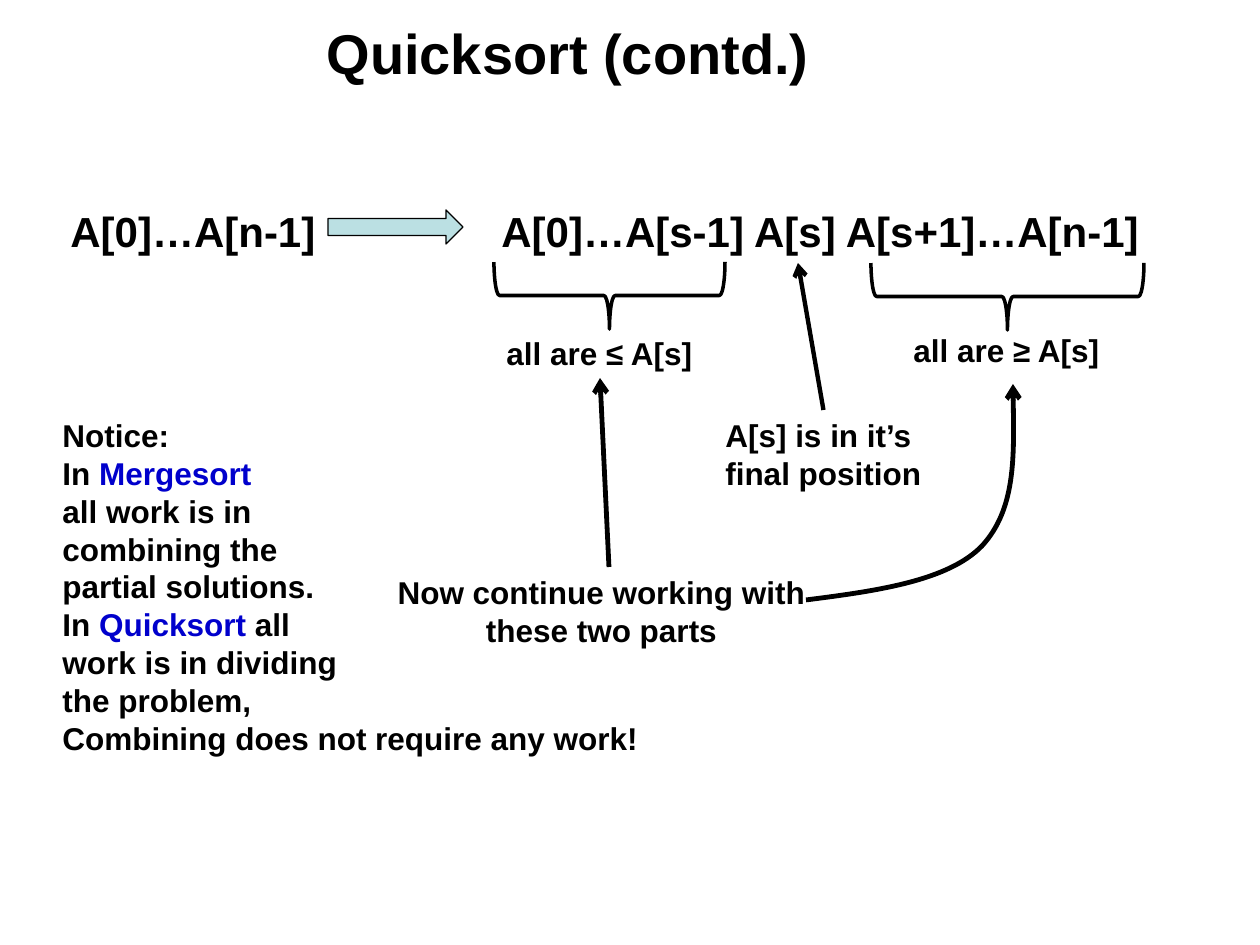
from lxml import etree
from pptx import Presentation
from pptx.dml.color import RGBColor
from pptx.enum.shapes import MSO_CONNECTOR, MSO_SHAPE
from pptx.enum.text import MSO_ANCHOR, MSO_AUTO_SIZE, PP_ALIGN
from pptx.oxml.ns import qn
from pptx.util import Pt

EMU_PER_PX = 914400 / 126
LEFT, CENTER = PP_ALIGN.LEFT, PP_ALIGN.CENTER
STRAIGHT = MSO_CONNECTOR.STRAIGHT
TOP_SITE, BOTTOM_SITE = 0, 2
BLACK, WHITE, BLUE, PALE_BLUE = "000000", "FFFFFF", "0000CC", "BBE0E3"

NOTICE = [
    "Notice:",
    [("In ", BLACK), ("Mergesort", BLUE)],
    "all work is in",
    "combining the",
    "partial solutions.",
    [("In ", BLACK), ("Quicksort", BLUE), (" all", BLACK)],
    "work is in dividing",
    "the problem,",
    "Combining does not require any work!",
]


def px(*values):
    return [round(value * EMU_PER_PX) for value in values]


def color(value):
    return RGBColor.from_string(value)


def set_attributes(target, values):
    for name, value in values.items():
        setattr(target, name, value)


def add_text(slide, box, lines, size=18, align=LEFT, **frame_format):
    """Add one paragraph per line; a line is a string or a list of (text, color)."""
    shape = slide.shapes.add_textbox(*px(*box))
    frame = shape.text_frame
    values = {"word_wrap": False, "auto_size": MSO_AUTO_SIZE.SHAPE_TO_FIT_TEXT}
    set_attributes(frame, values | frame_format)
    for index, line in enumerate(lines):
        paragraph = frame.paragraphs[0] if index == 0 else frame.add_paragraph()
        paragraph.alignment = align
        for text, text_color in [(line, BLACK)] if isinstance(line, str) else line:
            run = paragraph.add_run()
            run.text = text
            set_attributes(run.font, {"name": "Arial", "size": Pt(size), "bold": True})
            run.font.color.rgb = color(text_color)
    return shape


def style_line(shape, width, arrow=False):
    shape.line.color.rgb = color(BLACK)
    shape.line.width = Pt(width)
    if arrow:
        line = shape.line._get_or_add_ln()
        etree.SubElement(line, qn("a:tailEnd"), type="arrow")


def add_preset(slide, kind, box, fill, line_width, rotation=0):
    shape = slide.shapes.add_shape(kind, *px(*box))
    shape.shadow.inherit = False
    shape.rotation = rotation
    shape.fill.solid()
    shape.fill.fore_color.rgb = color(fill)
    style_line(shape, line_width)
    return shape


def add_arrow(slide, start, end, width):
    connector = slide.shapes.add_connector(STRAIGHT, *px(*start, *end))
    style_line(connector, width, arrow=True)
    etree.SubElement(connector._element.spPr, qn("a:effectLst"))
    return connector


def add_curved_arrow(slide, start, points, width):
    """Draw cubic curves; each takes three of the points."""
    builder = slide.shapes.build_freeform(*start, scale=EMU_PER_PX)
    builder.add_line_segments(points, close=False)
    shape = builder.convert_to_shape()
    outline = shape._element.spPr.find(".//" + qn("a:path"))
    segments = outline.findall(qn("a:lnTo"))
    for first in range(0, len(segments), 3):
        curve = etree.SubElement(outline, qn("a:cubicBezTo"))
        for segment in segments[first:first + 3]:
            curve.append(segment[0])
            outline.remove(segment)
    shape.shadow.inherit = False
    shape.fill.background()
    style_line(shape, width, arrow=True)


def main():
    presentation = Presentation()
    presentation.slide_width, presentation.slide_height = px(1260, 945)
    slide = presentation.slides.add_slide(presentation.slide_layouts[6])

    add_text(slide, (95, 21, 946, 63), ["Quicksort (contd.)"], 32, CENTER,
             word_wrap=True, auto_size=MSO_AUTO_SIZE.NONE,
             vertical_anchor=MSO_ANCHOR.MIDDLE)

    add_text(slide, (58, 199, 270, 63), ["A[0]…A[n-1]"], 24)
    add_preset(slide, MSO_SHAPE.RIGHT_ARROW, (328, 210, 135, 34), PALE_BLUE, 0.75)
    add_text(slide, (489, 199, 665, 63), ["A[0]…A[s-1] A[s] A[s+1]…A[n-1]"], 24)

    for box in ((576, 180, 67, 231), (974, 160, 67, 273)):
        add_preset(slide, MSO_SHAPE.LEFT_BRACE, box, WHITE, 2, rotation=270)
    smaller_part = add_text(slide, (494, 328, 212, 50), ["all are ≤ A[s]"])
    add_text(slide, (901, 325, 212, 50), ["all are ≥ A[s]"])

    pivot = add_text(slide, (713, 410, 221, 88), ["A[s] is in it’s", "final position"])
    pivot_arrow = add_arrow(slide, (823, 410), (798, 263), 2.5)
    pivot_arrow.begin_connect(pivot, TOP_SITE)

    add_text(slide, (381, 567, 441, 88),
             ["Now continue working with ", "these two parts"], align=CENTER)
    part_arrow = add_arrow(slide, (609, 567), (600, 378), 2.75)
    part_arrow.end_connect(smaller_part, BOTTOM_SITE)
    add_curved_arrow(slide, (806, 600),
                     [(877, 591), (948, 581), (982, 546),
                      (1016, 509), (1014, 446), (1013, 384)], 2.75)

    add_text(slide, (50, 410, 601, 353), NOTICE)
    presentation.save("out.pptx")


if __name__ == "__main__":
    main()
